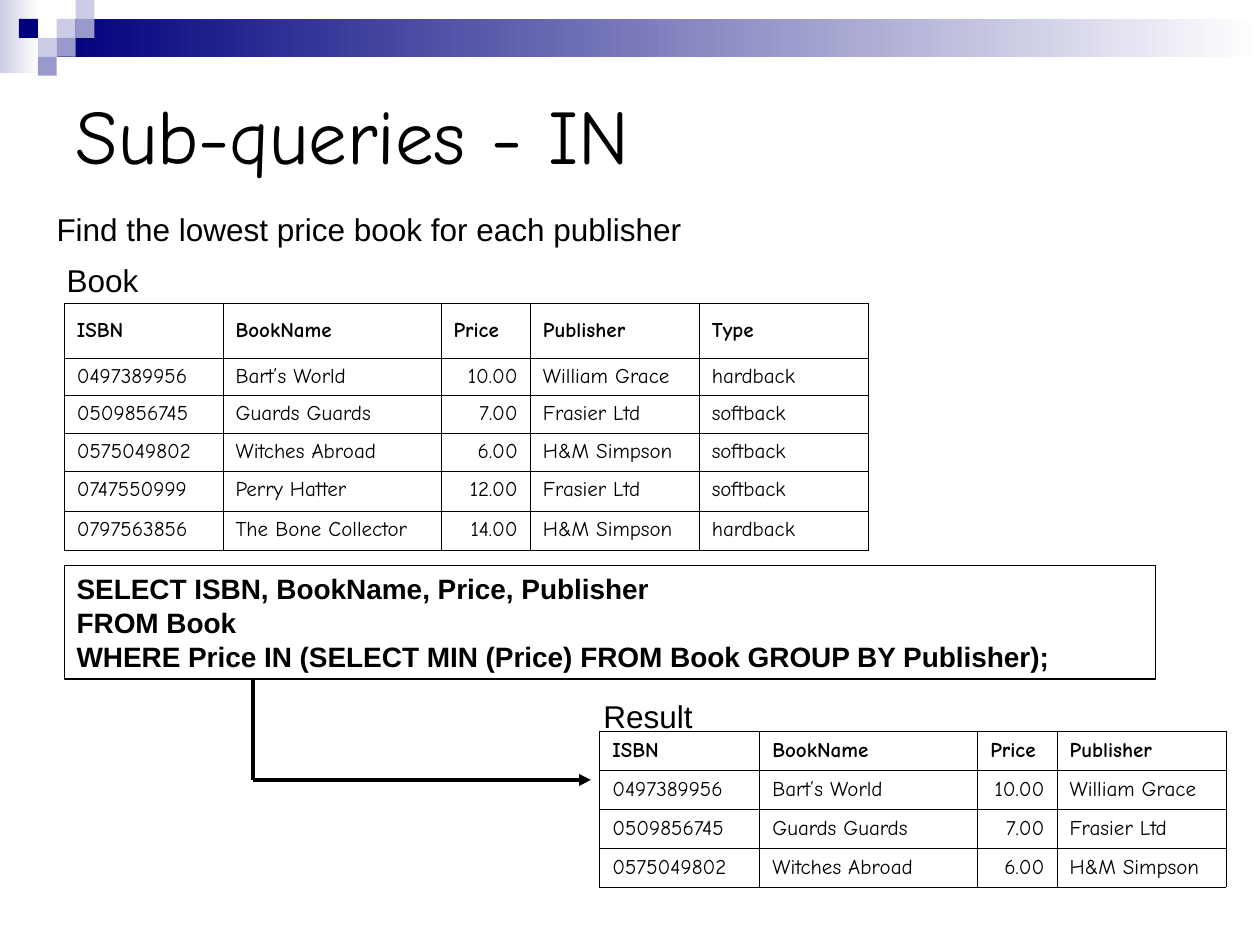
"""Build the slide explaining sub-queries with IN, with its source and result tables."""
from lxml import etree
from pptx import Presentation, util as u
from pptx.dml.color import RGBColor
from pptx.enum import shapes, text
from pptx.oxml import ns

THEME = {
    "ink": "000000", "paper": "FFFFFF", "navy": "00007D", "mid": "9999CC", "pale": "CCCCE6",
    "heading_font": "Comic Neue", "body_font": "Arial",
    "title": 44, "label": 18, "query": 16, "cell": 12,
    "border": 0.34, "outline": 0.75, "arrow": 2.25,
}

TITLE = "Sub-queries - IN"
LABELS = [
    ("Find the lowest price book for each publisher", (0.35, 1.62, 7.79, 0.4)),
    ("Book", (0.43, 2.02, 2.91, 0.4)),
    ("Result", (4.69, 5.48, 1.18, 0.4)),
]
QUERY = [
    "SELECT ISBN, BookName, Price, Publisher",
    "FROM Book",
    "WHERE Price IN (SELECT MIN (Price) FROM Book GROUP BY Publisher);",
]
BOOKS = [
    ("ISBN", "BookName", "Price", "Publisher", "Type"),
    ("0497389956", "Bart’s World", "10.00", "William Grace", "hardback"),
    ("0509856745", "Guards Guards", "7.00", "Frasier Ltd", "softback"),
    ("0575049802", "Witches Abroad", "6.00", "H&M Simpson", "softback"),
    ("0747550999", "Perry Hatter", "12.00", "Frasier Ltd", "softback"),
    ("0797563856", "The Bone Collector", "14.00", "H&M Simpson", "hardback"),
]
RESULT = [row[:4] for row in BOOKS[:4]]
PRICE_COLUMN = 2

BANDS = [((0, 0, 0.31, 0.58), "pale"), ((0.45, 0.15, 9.55, 0.3), "navy")]
SQUARE = 0.15
SQUARES = [
    (3, 1, "pale"), (4, 0, "pale"), (4, 1, "mid"), (2, 2, "pale"),
    (1, 1, "navy"), (3, 2, "mid"), (2, 3, "mid"),
]
ARROW_START, ARROW_CORNER, ARROW_END = (2.01, 5.4), (2.01, 6.19), (4.69, 6.19)


def color(name):
    return RGBColor.from_string(THEME[name])


def inches(values):
    return [u.Inches(value) for value in values]


def style(paragraph, size, font="body_font", bold=False, align=text.PP_ALIGN.LEFT):
    paragraph.alignment = align
    paragraph.font.size = u.Pt(THEME[size])
    paragraph.font.name = THEME[font]
    paragraph.font.bold = bold
    paragraph.font.color.rgb = color("ink")


def add_rectangle(slide, box):
    shape = slide.shapes.add_shape(shapes.MSO_SHAPE.RECTANGLE, *inches(box))
    shape.shadow.inherit = False
    shape.line.fill.background()
    return shape


def add_header_art(slide):
    for box, start in BANDS:
        fill = add_rectangle(slide, box).fill
        fill.gradient()
        fill.gradient_angle = 0
        for stop, name in zip(fill.gradient_stops, (start, "paper")):
            stop.color.rgb = color(name)
    for column, row, name in SQUARES:
        shape = add_rectangle(slide, (column * SQUARE, row * SQUARE, SQUARE, SQUARE))
        shape.fill.solid()
        shape.fill.fore_color.rgb = color(name)


def add_title(slide):
    title = slide.shapes.title
    title.left, title.top, title.width, title.height = inches((0.5, 0.5, 9, 1.12))
    title.text_frame.text = TITLE
    title.text_frame.vertical_anchor = text.MSO_ANCHOR.MIDDLE
    style(title.text_frame.paragraphs[0], "title", "heading_font")


def add_label(slide, words, box):
    frame = slide.shapes.add_textbox(*inches(box)).text_frame
    frame.word_wrap = True
    frame.text = words
    style(frame.paragraphs[0], "label")


def add_query(slide):
    shape = add_rectangle(slide, (0.51, 4.49, 8.66, 0.9))
    shape.fill.background()
    shape.line.color.rgb = color("ink")
    shape.line.width = u.Pt(THEME["outline"])
    frame = shape.text_frame
    frame.word_wrap = True
    frame.vertical_anchor = text.MSO_ANCHOR.TOP
    frame.text = "\n".join(QUERY)
    for paragraph in frame.paragraphs:
        style(paragraph, "query", bold=True)


def add_borders(cell):
    properties = cell._tc.get_or_add_tcPr()
    for index, side in enumerate(("lnL", "lnR", "lnT", "lnB")):
        line = etree.Element(ns.qn(f"a:{side}"), w=str(u.Pt(THEME["border"])))
        fill = etree.SubElement(line, ns.qn("a:solidFill"))
        etree.SubElement(fill, ns.qn("a:srgbClr"), val=THEME["ink"])
        properties.insert(index, line)


def add_data_table(slide, data, origin, widths, heights, body_anchor):
    box = (*origin, sum(widths), sum(heights))
    table = slide.shapes.add_table(len(heights), len(widths), *inches(box)).table
    table.first_row = table.horz_banding = False
    for column, width in zip(table.columns, widths):
        column.width = u.Inches(width)
    for row, height in zip(table.rows, heights):
        row.height = u.Inches(height)
    for i, values in enumerate(data):
        header = i == 0
        for j, value in enumerate(values):
            cell = table.cell(i, j)
            cell.text = value
            cell.vertical_anchor = text.MSO_ANCHOR.MIDDLE if header else body_anchor
            if header:
                cell.fill.background()
            else:
                cell.fill.solid()
                cell.fill.fore_color.rgb = color("paper")
            number = j == PRICE_COLUMN and not header
            align = text.PP_ALIGN.RIGHT if number else text.PP_ALIGN.LEFT
            style(cell.text_frame.paragraphs[0], "cell", "heading_font", header, align)
            add_borders(cell)


def add_line(slide, start, end, arrowhead=False):
    connector = slide.shapes.add_connector(
        shapes.MSO_CONNECTOR.STRAIGHT, *inches((*start, *end)))
    connector.line.color.rgb = color("ink")
    connector.line.width = u.Pt(THEME["arrow"])
    if arrowhead:
        etree.SubElement(connector.line._get_or_add_ln(), ns.qn("a:tailEnd"), type="triangle")
    etree.SubElement(connector._element.spPr, ns.qn("a:effectLst"))


def main():
    presentation = Presentation()
    presentation.slide_width, presentation.slide_height = inches((10, 7.5))
    slide = presentation.slides.add_slide(presentation.slide_layouts[5])
    add_header_art(slide)
    add_title(slide)
    for words, box in LABELS:
        add_label(slide, words, box)
    add_query(slide)
    add_data_table(slide, BOOKS, (0.51, 2.41), (1.26, 1.73, 0.71, 1.34, 1.34),
                   (0.43, 0.3, 0.3, 0.3, 0.32, 0.31), text.MSO_ANCHOR.TOP)
    add_data_table(slide, RESULT, (4.76, 5.8), (1.27, 1.73, 0.63, 1.34),
                   [0.31] * 4, text.MSO_ANCHOR.MIDDLE)
    add_line(slide, ARROW_CORNER, ARROW_START)
    add_line(slide, ARROW_CORNER, ARROW_END, arrowhead=True)
    presentation.save("out.pptx")


if __name__ == "__main__":
    main()
